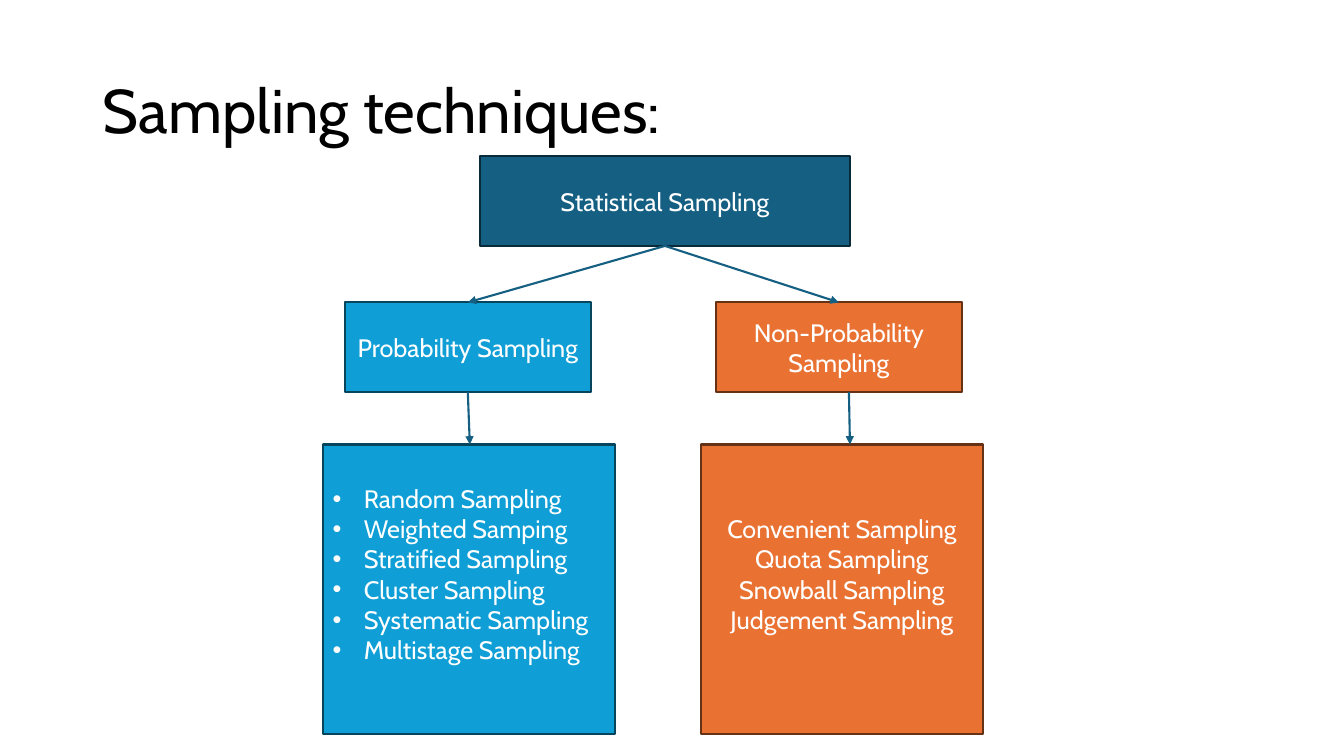
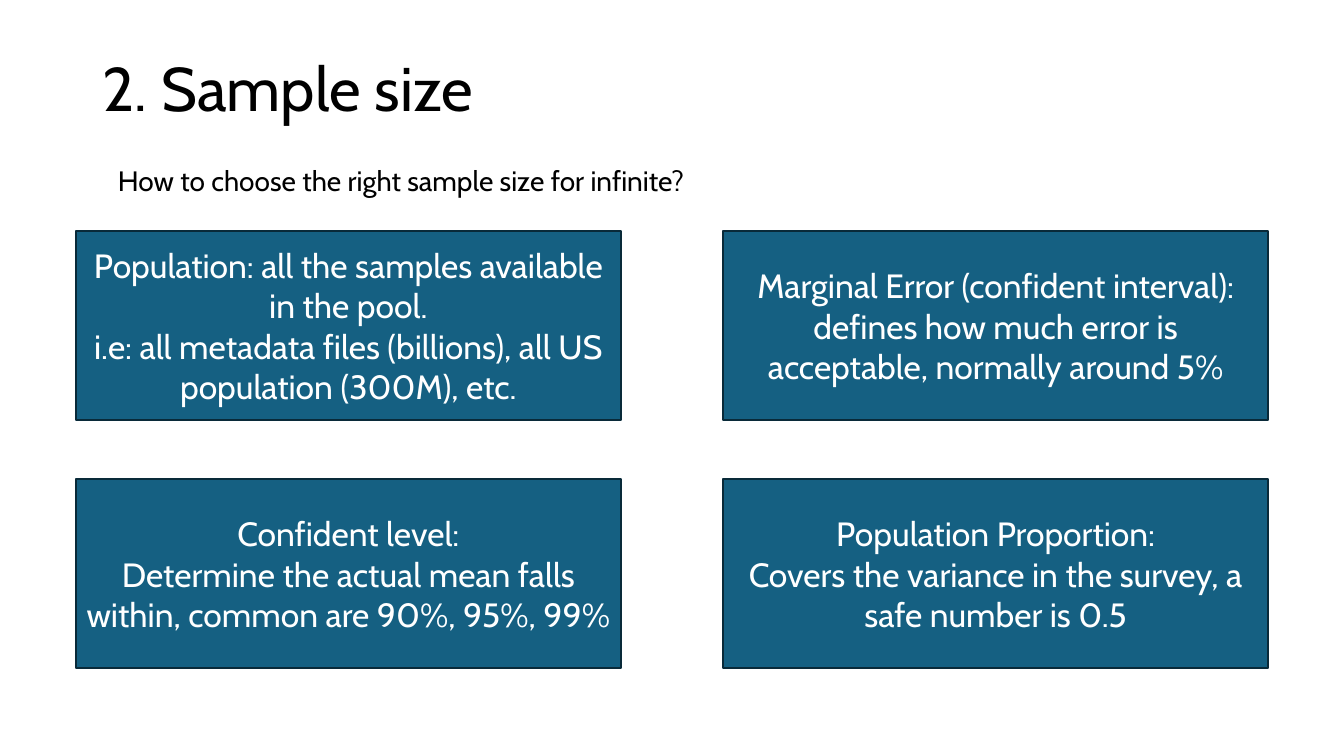
from lxml.etree import SubElement
from pptx import Presentation
from pptx.dml.color import RGBColor
from pptx.enum.shapes import MSO_CONNECTOR, MSO_SHAPE
from pptx.enum.text import MSO_ANCHOR, PP_ALIGN
from pptx.oxml.ns import qn
from pptx.util import Inches, Pt

FONT = "Cabin"
BLACK = RGBColor(0x00, 0x00, 0x00)
WHITE = RGBColor(0xFF, 0xFF, 0xFF)
TEAL = RGBColor(0x15, 0x60, 0x82)
TEAL_EDGE = RGBColor(0x09, 0x2A, 0x39)
BLUE = RGBColor(0x0F, 0x9E, 0xD5)
BLUE_EDGE = RGBColor(0x07, 0x45, 0x5D)
ORANGE = RGBColor(0xE9, 0x71, 0x32)
ORANGE_EDGE = RGBColor(0x66, 0x32, 0x16)
LINE_WIDTH = Pt(1.5)

TEAL_STYLE = (TEAL, TEAL_EDGE)
BLUE_STYLE = (BLUE, BLUE_EDGE)
ORANGE_STYLE = (ORANGE, ORANGE_EDGE)


def write_text(frame, lines, size, color, align):
    frame.word_wrap = True
    frame.text = "\n".join(lines)
    for para in frame.paragraphs:
        para.alignment = align
        for span in para.runs:
            span.font.name = FONT
            span.font.size = Pt(size)
            span.font.color.rgb = color


def add_label(page, box, text, size, anchor):
    label = page.shapes.add_textbox(*map(Inches, box))
    frame = label.text_frame
    write_text(frame, [text], size, BLACK, PP_ALIGN.LEFT)
    frame.vertical_anchor = anchor
    return frame


def add_title(page, text, top):
    frame = add_label(page, (0.92, top, 11.5, 1.45), text, 44, MSO_ANCHOR.MIDDLE)
    frame.paragraphs[0].line_spacing = 0.9


def add_card(page, box, lines, style, size=18, align=PP_ALIGN.CENTER):
    fill, edge = style
    card = page.shapes.add_shape(MSO_SHAPE.RECTANGLE, *map(Inches, box))
    card.shadow.inherit = False
    card.fill.solid()
    card.fill.fore_color.rgb = fill
    card.line.color.rgb = edge
    card.line.width = LINE_WIDTH
    frame = card.text_frame
    write_text(frame, lines, size, WHITE, align)
    frame.vertical_anchor = MSO_ANCHOR.MIDDLE
    return frame


def add_bullets(frame):
    indent = Inches(0.31)
    for para in frame.paragraphs:
        properties = para._p.get_or_add_pPr()
        properties.set("marL", str(indent))
        properties.set("indent", str(-indent))
        SubElement(properties, qn("a:buFont"), typeface="Arial")
        SubElement(properties, qn("a:buChar"), char="•")


def add_arrow(page, start, end):
    arrow = page.shapes.add_connector(
        MSO_CONNECTOR.STRAIGHT, *map(Inches, (*start, *end)))
    arrow.line.color.rgb = TEAL
    arrow.line.width = LINE_WIDTH
    SubElement(arrow.line._get_or_add_ln(), qn("a:tailEnd"), type="triangle")
    SubElement(arrow._element.spPr, qn("a:effectLst"))


def add_branch(page, left, root, heading, items, style, list_box, stem, bulleted):
    top, width, height = 3, 2.44, 0.89
    add_card(page, (left, top, width, height), [heading], style)
    align = PP_ALIGN.LEFT if bulleted else PP_ALIGN.CENTER
    frame = add_card(page, list_box, items, style, align=align)
    frame.margin_bottom = Inches(0.35)
    if bulleted:
        add_bullets(frame)
    add_arrow(page, root, (left + width / 2, top))
    add_arrow(page, (stem[0], top + height), (stem[1], list_box[1]))


def build_techniques(page):
    add_title(page, "Sampling techniques:", 0.4)
    left, top, width, height = root_box = (4.76, 1.55, 3.67, 0.89)
    add_card(page, root_box, ["Statistical Sampling"], TEAL_STYLE)
    root = (left + width / 2, top + height)
    add_branch(page, 3.42, root, "Probability Sampling",
               ["Random Sampling", "Weighted Samping", "Stratified Sampling",
                "Cluster Sampling", "Systematic Sampling", "Multistage Sampling"],
               BLUE_STYLE, (3.2, 4.41, 2.9, 2.87), (4.64, 4.66), True)
    add_branch(page, 7.1, root, "Non-Probability Sampling",
               ["Convenient Sampling", "Quota Sampling",
                "Snowball Sampling", "Judgement Sampling"],
               ORANGE_STYLE, (6.95, 4.41, 2.8, 2.87), (8.42, 8.43), False)


def add_card_grid(page, box, gaps, cards):
    left, top, width, height = box
    card_width = (width - gaps[0]) / 2
    card_height = (height - gaps[1]) / 2
    for index, lines in enumerate(cards):
        row, column = divmod(index, 2)
        add_card(page, (left + column * (card_width + gaps[0]),
                        top + row * (card_height + gaps[1]),
                        card_width, card_height), lines, TEAL_STYLE, 24)


def build_sample_size(page):
    add_title(page, "2. Sample size", 0.18)
    add_label(page, (1.07, 1.57, 11.34, 0.44),
              "How to choose the right sample size for infinite?", 20, MSO_ANCHOR.TOP)
    add_card_grid(page, (0.75, 2.29, 11.83, 4.34), (1.01, 0.58), [
        ["Population: all the samples available in the pool.",
         "i.e: all metadata files (billions), all US population (300M), etc."],
        ["Marginal Error (confident interval): defines how much error is "
         "acceptable, normally around 5%"],
        ["Confident level:",
         "Determine the actual mean falls within, common are 90%, 95%, 99%"],
        ["Population Proportion:",
         "Covers the variance in the survey, a safe number is 0.5"],
    ])


def main():
    deck = Presentation()
    deck.slide_width = Inches(13.33)
    deck.slide_height = Inches(7.5)
    for build in (build_techniques, build_sample_size):
        build(deck.slides.add_slide(deck.slide_layouts[6]))
    deck.save("out.pptx")


if __name__ == "__main__":
    main()
